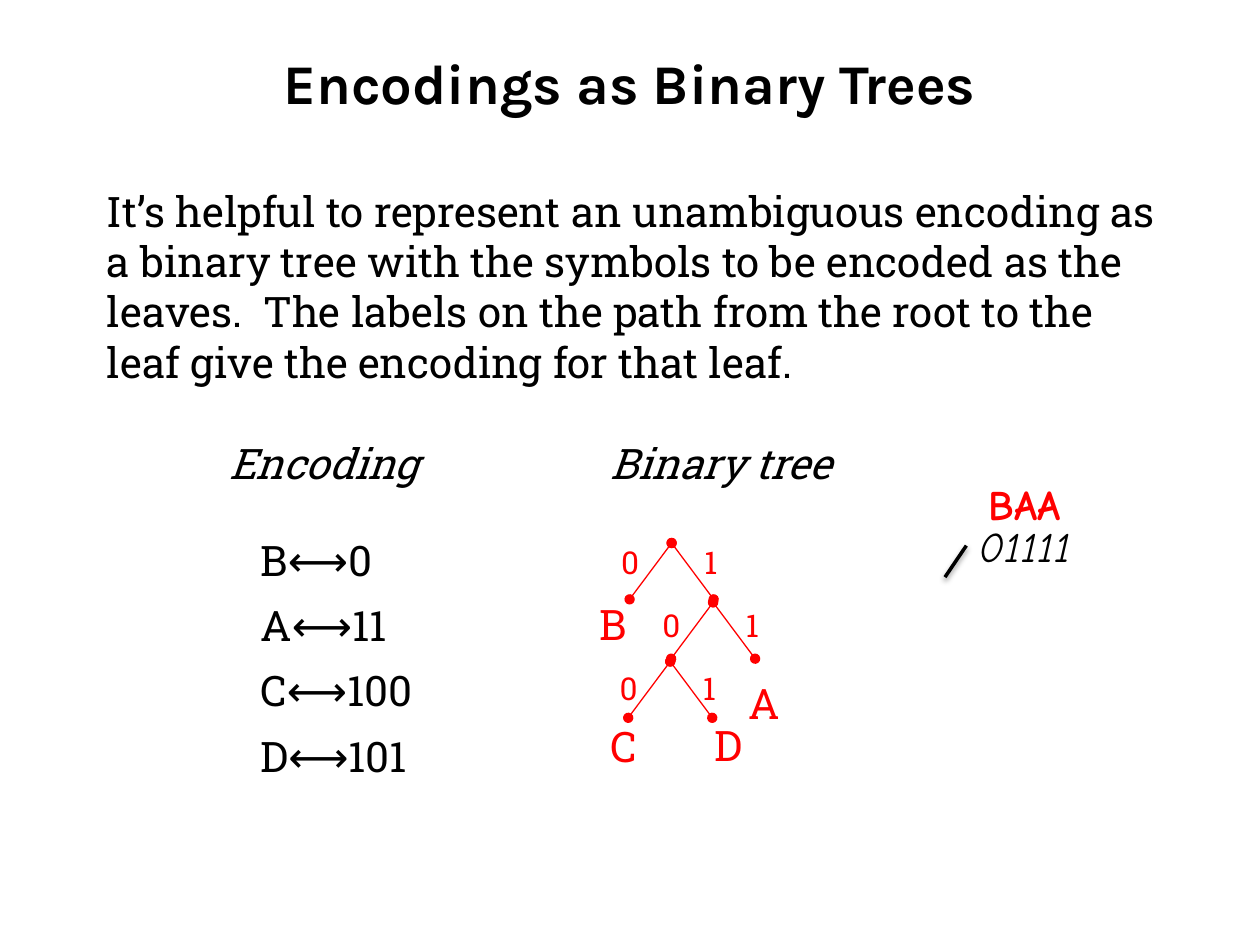
import pptx
import pptx.dml.color
import pptx.enum.shapes
import pptx.enum.text
import pptx.oxml
import pptx.oxml.ns
import pptx.util
from pptx.util import Pt

BLACK = pptx.dml.color.RGBColor(0, 0, 0)
RED = pptx.dml.color.RGBColor(255, 0, 0)
SLAB, HAND, TITLE_FONT, ARROW_FONT = "Roboto Slab", "Comic Neue", "Karla", "Arial"

# Code table: symbol, code, font of the arrow between them
CODES = [("B", "0", SLAB), ("A", "11", ARROW_FONT),
         ("C", "100", ARROW_FONT), ("D", "101", ARROW_FONT)]

# Tree: inner nodes from the root down, and the boxes of the leaf symbols
INNER_NODES = [(383.8, 310.3), (407.5, 344.2), (383, 378)]
BRANCH_DX, BRANCH_DY = 24, 32.2
DIGIT_TOP, DIGIT_PITCH = 306.7, 36
DIGIT_OFFSETS = {"0": -36, "1": 11.6}
LEAVES = [("B", 335.5, 338.4), ("A", 420.5, 383.8),
          ("C", 342, 408.2), ("D", 401, 407.5)]

SHADOW = ('<a:outerShdw blurRad="39370" dist="20320" dir="5400000" rotWithShape="0">'
          '<a:srgbClr val="000000"><a:alpha val="38000"/></a:srgbClr></a:outerShdw>')


def add_text(slide, text, left, top, width, height, size=24, font=SLAB,
             color=BLACK, bold=False, italic=False, wrap=False):
    frame = slide.shapes.add_textbox(Pt(left), Pt(top), Pt(width), Pt(height)).text_frame
    frame.word_wrap = wrap
    frame.auto_size = pptx.enum.text.MSO_AUTO_SIZE.SHAPE_TO_FIT_TEXT
    paragraph = frame.paragraphs[0]
    paragraph.text = text
    style_font(paragraph.font, size, font, color, bold, italic)
    return frame


def style_font(target, size, font, color, bold=False, italic=False):
    target.size, target.name = Pt(size), font
    target.bold, target.italic = bold, italic
    target.color.rgb = color


def add_line(slide, start, end, color, width, effect=""):
    line = slide.shapes.add_connector(
        pptx.enum.shapes.MSO_CONNECTOR.STRAIGHT, *map(Pt, (*start, *end)))
    line.line.color.rgb = color
    line.line.width = Pt(width)
    line._element.spPr.append(pptx.oxml.parse_xml(
        f'<a:effectLst {pptx.oxml.ns.nsdecls("a")}>{effect}</a:effectLst>'))
    return line


def add_branch(slide, start, end):
    branch = add_line(slide, start, end, RED, 0.75)
    for tag in ("headEnd", "tailEnd"):
        branch.line._get_or_add_ln().append(pptx.oxml.parse_xml(
            f'<a:{tag} {pptx.oxml.ns.nsdecls("a")} type="oval"/>'))


def add_code_table(slide):
    frame = add_text(slide, "", 141.8, 293, 108.7, 157)
    for row, (symbol, code, arrow_font) in enumerate(CODES):
        paragraph = frame.add_paragraph() if row else frame.paragraphs[0]
        paragraph.line_spacing = 1.3
        for text, font in ((symbol, SLAB), ("⟷", arrow_font), (code, SLAB)):
            run = paragraph.add_run()
            run.text = text
            style_font(run.font, 24, font, BLACK)


def add_tree(slide):
    for level, (x, y) in enumerate(INNER_NODES):
        for side, (digit, offset) in zip((-1, 1), DIGIT_OFFSETS.items()):
            add_branch(slide, (x, y), (x + side * BRANCH_DX, y + BRANCH_DY))
            add_text(slide, digit, x + offset, DIGIT_TOP + level * DIGIT_PITCH,
                     26.6, 28.8, size=18, color=RED)
    for symbol, left, top in LEAVES:
        add_text(slide, symbol, left, top, 32.4, 36.7, color=RED)


def main():
    deck = pptx.Presentation()
    deck.slide_width, deck.slide_height = Pt(720), Pt(540)
    slide = deck.slides.add_slide(deck.slide_layouts[6])

    # Title and explanation
    title = add_text(slide, "Encodings as Binary Trees", 36, 21.6, 648, 50.4,
                     size=32, font=TITLE_FONT, bold=True, wrap=True)
    title.auto_size = pptx.enum.text.MSO_AUTO_SIZE.NONE
    title.vertical_anchor = pptx.enum.text.MSO_ANCHOR.MIDDLE
    title.paragraphs[0].alignment = pptx.enum.text.PP_ALIGN.CENTER
    add_text(slide, "It’s helpful to represent an unambiguous encoding as a binary tree "
             "with the symbols to be encoded as the leaves.  The labels on the path from "
             "the root to the leaf give the encoding for that leaf.",
             54, 102.2, 617.8, 123.8, wrap=True)

    # Encoding column
    add_text(slide, "Encoding", 123.8, 246.2, 128.2, 36.7, italic=True)
    add_code_table(slide)

    # Binary tree column
    add_text(slide, "Binary tree", 342, 246.2, 151.2, 36.7, italic=True)
    add_tree(slide)

    # Decoding example
    add_text(slide, "01111", 552.2, 293.8, 81.4, 36, font=HAND, italic=True)
    add_line(slide, (552.2, 311.8), (540, 329.8), BLACK, 2, SHADOW)
    add_text(slide, "BAA", 558, 270, 65.5, 36.7, font=HAND, color=RED, bold=True)

    deck.save("out.pptx")


if __name__ == "__main__":
    main()
